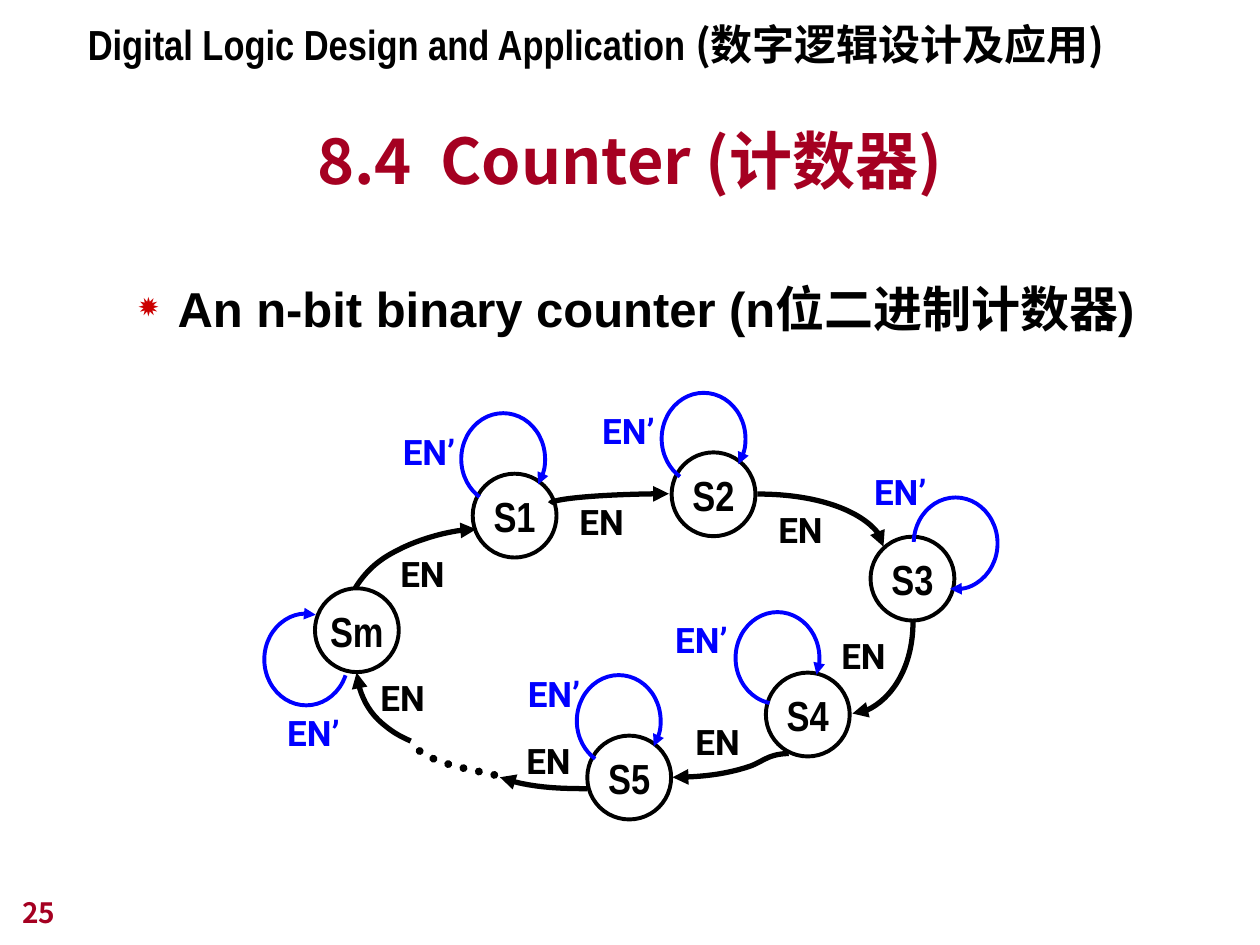
from dataclasses import dataclass

from lxml import etree
from pptx import Presentation
from pptx import util as u
from pptx.dml.color import RGBColor
from pptx.enum import dml, shapes, text
from pptx.oxml.ns import qn

BLACK, BLUE, CRIMSON, RED = "000000", "0000FF", "A50021", "CC0000"
CJK, NARROW, LABEL = "Noto Sans CJK JP", "Arial Narrow", "Roboto"
STATE_SIZE = 1.69
LOOP_WIDTH, LOOP_HEIGHT = 1.69, 1.85
Point = tuple[float, float]


@dataclass
class State:
    name: str
    corner: Point
    loop_corner: Point
    loop_angles: Point  # degrees, clockwise from the right
    hold_label: Point


@dataclass
class Bend:
    begin: Point
    end: Point
    rotation: int


@dataclass
class Curve:
    points: list[Point]  # start, then two controls and an end per piece
    dotted: bool = False


# Lengths in centimetres
STATES = [
    State("S1", (9.53, 9.55), (9.3, 8.33), (122, 36), (7.87, 8.56)),
    State("S2", (13.54, 9.12), (13.34, 7.92), (122, 36), (11.89, 8.13)),
    State("S3", (17.55, 10.82), (18.42, 10.03), (182, 97), (17.37, 9.37)),
    State("Sm", (6.35, 11.86), (5.33, 12.37), (22, 282), (5.54, 14.22)),
    State("S5", (11.84, 14.83), (11.63, 13.61), (122, 36), (10.39, 13.44)),
    State("S4", (15.44, 13.56), (14.83, 12.34), (100, 23), (13.36, 12.34)),
]
BENDS = [
    Bend((12.39, 11.25), (12.19, 8.86), 90),   # S1 to S2
    Bend((15.27, 9.96), (17.81, 11.02), 0),    # S2 to S3
    Bend((16.87, 12.85), (18.72, 14.07), 90),  # S3 to S4
]
CURVES = [
    # S4 to S5
    Curve([(15.9, 15.19), (15.5, 15.2), (15.4, 15.34), (15.14, 15.44),
           (14.63, 15.62), (14.07, 15.67), (13.56, 15.67)]),
    # S5 to the omitted states
    Curve([(11.84, 15.9), (11.28, 15.9), (10.64, 15.88), (10.08, 15.67)]),
    # Omitted states
    Curve([(8.46, 15.14), (8.9, 15.45), (9.5, 15.5), (10.16, 15.67)], dotted=True),
    # Omitted states to Sm
    Curve([(8.28, 14.94), (8.1, 14.86), (7.95, 14.78), (7.8, 14.66),
           (7.42, 14.38), (7.24, 14), (7.19, 13.56)]),
    # Sm to S1
    Curve([(7.16, 11.86), (7.35, 11.55), (7.6, 11.3), (8, 11.1),
           (8.43, 10.87), (9.12, 10.67), (9.6, 10.67)]),
]
COUNT_LABELS = [(7.82, 11.02), (11.43, 9.96), (15.44, 10.13), (10.36, 14.78),
                (13.77, 14.4), (16.71, 12.67), (7.42, 13.51)]


def rgb(color: str) -> RGBColor:
    return RGBColor.from_string(color)


def set_font(font, size: float, color: str, name: str | None = None) -> None:
    font.size, font.bold, font.name = u.Pt(size), True, name
    font.color.rgb = rgb(color)


def set_line(shape, color: str, width: float, arrow: bool = False) -> None:
    shape.line.color.rgb = rgb(color)
    shape.line.width = u.Pt(width)
    if arrow:
        outline = shape._element.spPr.find(qn("a:ln"))
        etree.SubElement(outline, qn("a:tailEnd"), type="triangle")


def add_text(slide, corner: Point, size: Point, words: str, points: float,
             color: str, font: str, wrap: bool = True):
    box = slide.shapes.add_textbox(*(u.Cm(v) for v in corner + size))
    box.text_frame.word_wrap = wrap
    paragraph = box.text_frame.paragraphs[0]
    paragraph.text = words
    set_font(paragraph.font, points, color, font)
    return box.text_frame


def add_state(slide, state: State) -> None:
    circle = slide.shapes.add_shape(
        shapes.MSO_SHAPE.OVAL, *(u.Cm(v) for v in state.corner),
        u.Cm(STATE_SIZE), u.Cm(STATE_SIZE))
    circle.shadow.inherit = False
    circle.fill.background()
    set_line(circle, BLACK, 2.25)
    frame = circle.text_frame
    frame.word_wrap = False
    frame.vertical_anchor = text.MSO_ANCHOR.MIDDLE
    paragraph = frame.paragraphs[0]
    paragraph.text = state.name
    paragraph.alignment = text.PP_ALIGN.CENTER
    set_font(paragraph.font, 24, BLACK, NARROW)


def add_loop(slide, state: State) -> None:
    loop = slide.shapes.add_shape(
        shapes.MSO_SHAPE.ARC, *(u.Cm(v) for v in state.loop_corner),
        u.Cm(LOOP_WIDTH), u.Cm(LOOP_HEIGHT))
    for index, degrees in enumerate(state.loop_angles):
        loop.adjustments[index] = degrees * 0.6  # 60000 units per degree
    loop.shadow.inherit = False
    loop.fill.background()
    set_line(loop, BLUE, 2.25, arrow=True)
    add_text(slide, state.hold_label, (1.63, 1.12), "EN’", 20, BLUE, LABEL, wrap=False)


def add_bend(slide, bend: Bend) -> None:
    link = slide.shapes.add_connector(
        shapes.MSO_CONNECTOR.CURVE, *(u.Cm(v) for v in bend.begin + bend.end))
    properties = link._element.spPr
    properties.find(qn("a:prstGeom")).set("prst", "curvedConnector2")
    properties.find(qn("a:xfrm")).set("rot", str(bend.rotation * 60000))
    set_line(link, BLACK, 3, arrow=True)
    etree.SubElement(properties, qn("a:effectLst"))


def bezier(a: Point, b: Point, c: Point, d: Point, steps: int = 12) -> list[Point]:
    fractions = [i / steps for i in range(1, steps + 1)]
    return [tuple((1 - t) ** 3 * p + 3 * (1 - t) ** 2 * t * q
                  + 3 * (1 - t) * t ** 2 * r + t ** 3 * s
                  for p, q, r, s in zip(a, b, c, d)) for t in fractions]


def add_curve(slide, curve: Curve) -> None:
    points = curve.points
    builder = slide.shapes.build_freeform(*(u.Cm(v) for v in points[0]))
    for i in range(0, len(points) - 1, 3):
        vertices = bezier(*points[i:i + 4])
        builder.add_line_segments([(u.Cm(x), u.Cm(y)) for x, y in vertices], close=False)
    outline = builder.convert_to_shape()
    outline.shadow.inherit = False
    outline.fill.background()
    if curve.dotted:
        set_line(outline, BLACK, 4.5)
        outline.line.dash_style = dml.MSO_LINE.ROUND_DOT
        outline._element.spPr.find(qn("a:ln")).set("cap", "rnd")
    else:
        set_line(outline, BLACK, 3, arrow=True)


def add_heading(slide) -> None:
    # Course name
    header = add_text(slide, (1.52, 0.25), (21.36, 1.27), "", 24, BLACK, NARROW)
    for words, font in (("Digital Logic Design and Application ", NARROW),
                        ("(数字逻辑设计及应用)", CJK)):
        run = header.paragraphs[0].add_run()
        run.text, run.font.name = words, font

    # Title
    title = slide.shapes.title
    title.left, title.top, title.width, title.height = (
        u.Cm(v) for v in (1.9, 2.21, 21.59, 1.9))
    title.text_frame.vertical_anchor = text.MSO_ANCHOR.BOTTOM
    paragraph = title.text_frame.paragraphs[0]
    paragraph.text = "8.4  Counter (计数器)"
    paragraph.alignment = text.PP_ALIGN.CENTER
    set_font(paragraph.font, 36, CRIMSON, CJK)


def add_topic(slide) -> None:
    topic = slide.shapes.add_textbox(u.Cm(1.27), u.Cm(5.26), u.Cm(22.86), u.Cm(12.93))
    topic.text_frame.word_wrap = True
    paragraph = topic.text_frame.paragraphs[0]
    paragraph.text = "An n-bit binary counter (n位二进制计数器)"
    paragraph.line_spacing = 1.2
    properties = paragraph._p.get_or_add_pPr()
    properties.set("marL", str(u.Cm(2.06)))
    properties.set("indent", str(u.Cm(-0.79)))
    bullet_color = etree.SubElement(properties, qn("a:buClr"))
    etree.SubElement(bullet_color, qn("a:srgbClr"), val=RED)
    etree.SubElement(properties, qn("a:buSzPct"), val="70000")
    etree.SubElement(properties, qn("a:buChar"), char="✹")
    set_font(paragraph.font, 28, BLACK, "Arial")


def main() -> None:
    deck = Presentation()
    deck.slide_width, deck.slide_height = u.Cm(25.4), u.Cm(19.05)
    slide = deck.slides.add_slide(deck.slide_layouts[5])
    add_heading(slide)
    add_topic(slide)

    # State diagram
    for state in STATES:
        add_state(slide, state)
    for bend in BENDS:
        add_bend(slide, bend)
    for curve in CURVES:
        add_curve(slide, curve)
    for corner in COUNT_LABELS:
        add_text(slide, corner, (1.47, 1.12), "EN", 20, BLACK, LABEL, wrap=False)
    for state in STATES:
        add_loop(slide, state)

    # Slide number
    number = add_text(slide, (0.2, 17.58), (5.28, 1.27), "25", 16, CRIMSON, CJK)
    number.vertical_anchor = text.MSO_ANCHOR.BOTTOM
    deck.save("out.pptx")


if __name__ == "__main__":
    main()
